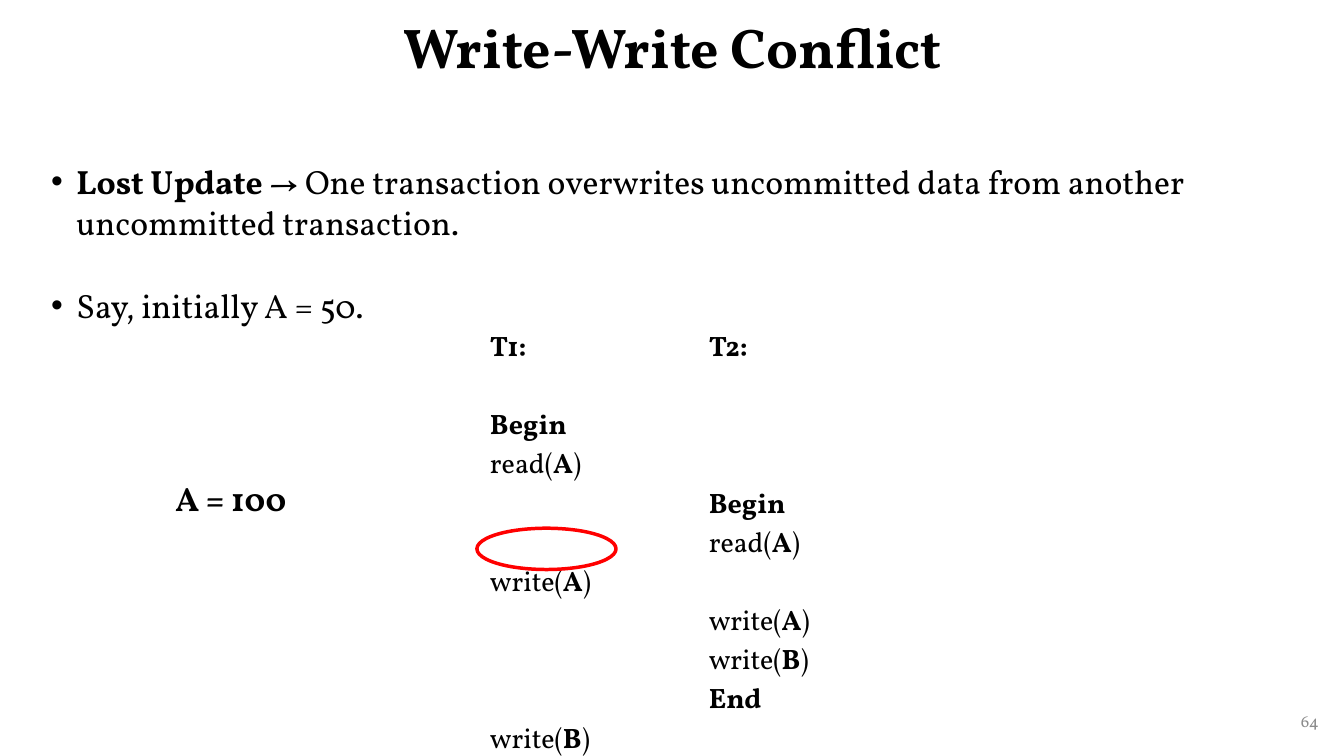
from dataclasses import dataclass

from lxml import etree
from pptx import Presentation
from pptx.dml.color import RGBColor
from pptx.enum.shapes import MSO_SHAPE
from pptx.enum.text import MSO_ANCHOR, PP_ALIGN
from pptx.oxml.ns import qn
from pptx.util import Inches, Pt

OVAL = MSO_SHAPE.OVAL
TOP, MIDDLE = MSO_ANCHOR.TOP, MSO_ANCHOR.MIDDLE
LEFT, CENTER, RIGHT = PP_ALIGN.LEFT, PP_ALIGN.CENTER, PP_ALIGN.RIGHT
PLAIN_TABLE_STYLE = "{2D5ABB26-0587-4C30-8999-92F81FD0307C}"


@dataclass(frozen=True)
class Theme:
    font: str = "Vollkorn"
    ink: RGBColor = RGBColor(0, 0, 0)
    muted: RGBColor = RGBColor(0x8C, 0x8C, 0x8C)
    highlight: RGBColor = RGBColor(0xFF, 0, 0)
    title_size: int = 40
    body_size: int = 24
    schedule_size: int = 20
    number_size: int = 12
    schedule_pitch: int = 28
    bullet_gap: int = 31


THEME = Theme()


@dataclass(frozen=True)
class Span:
    text: str
    bold: bool = False


@dataclass(frozen=True)
class Step:
    line: int
    spans: tuple[Span, ...]


@dataclass(frozen=True)
class Transaction:
    width: float
    steps: tuple[Step, ...]


def keyword(line: int, text: str) -> Step:
    return Step(line, (Span(text, True),))


def operation(line: int, action: str, item: str) -> Step:
    return Step(line, (Span(f"{action}("), Span(item, True), Span(")")))


BULLETS = (
    (
        Span("Lost Update ", True),
        Span("→ One transaction overwrites uncommitted data from another uncommitted transaction."),
    ),
    (Span("Say, initially A = 50."),),
)

TRANSACTIONS = (
    Transaction(2.17, (
        keyword(0, "T1:"),
        keyword(2, "Begin"),
        operation(3, "read", "A"),
        operation(6, "write", "A"),
        operation(10, "write", "B"),
    )),
    Transaction(2.05, (
        keyword(0, "T2:"),
        keyword(4, "Begin"),
        operation(5, "read", "A"),
        operation(7, "write", "A"),
        operation(8, "write", "B"),
        keyword(9, "End"),
    )),
)


def write(frame, spans: tuple[Span, ...], *, size: int, color: RGBColor = THEME.ink,
          align: PP_ALIGN = LEFT, spacing: float = 1.0, before: int = 0,
          bullet: bool = False) -> None:
    para = frame.paragraphs[0]
    if para.runs:
        para = frame.add_paragraph()
        para.space_before = Pt(before)
    para.alignment = align
    para.line_spacing = spacing
    if bullet:
        properties = para._p.get_or_add_pPr()
        properties.set("marL", str(Inches(0.25)))
        properties.set("indent", str(-Inches(0.25)))
        etree.SubElement(properties, qn("a:buFont")).set("typeface", "Arial")
        etree.SubElement(properties, qn("a:buChar")).set("char", "•")
    for span in spans:
        run = para.add_run()
        run.text = span.text
        run.font.name = THEME.font
        run.font.size = Pt(size)
        run.font.bold = span.bold
        run.font.color.rgb = color


def add_box(page, left: float, top: float, width: float, height: float,
            anchor: MSO_ANCHOR = TOP):
    box = page.shapes.add_textbox(Inches(left), Inches(top), Inches(width), Inches(height))
    box.text_frame.word_wrap = True
    box.text_frame.vertical_anchor = anchor
    return box.text_frame


def add_schedule(page, transactions: tuple[Transaction, ...]) -> None:
    width = sum(transaction.width for transaction in transactions)
    table = page.shapes.add_table(1, len(transactions), Inches(4.76), Inches(3.22),
                                  Inches(width), Inches(4.2)).table
    table.first_row = False
    table.horz_banding = False
    table._tbl.tblPr.find(qn("a:tableStyleId")).text = PLAIN_TABLE_STYLE
    for index, transaction in enumerate(transactions):
        table.columns[index].width = Inches(transaction.width)
        cell = table.cell(0, index)
        cell.fill.background()
        next_line = 0
        for step in transaction.steps:
            write(cell.text_frame, step.spans, size=THEME.schedule_size,
                  before=(step.line - next_line) * THEME.schedule_pitch)
            next_line = step.line + 1


def add_highlight(page) -> None:
    ring = page.shapes.add_shape(OVAL, Inches(4.73), Inches(5.24), Inches(1.38), Inches(0.41))
    ring.shadow.inherit = False
    ring.fill.background()
    ring.line.color.rgb = THEME.highlight
    ring.line.width = Pt(2.5)


def main() -> None:
    deck = Presentation()
    deck.slide_width, deck.slide_height = Inches(13.33), Inches(7.5)
    page = deck.slides.add_slide(deck.slide_layouts[6])

    title = add_box(page, 0.92, 0, 11.5, 0.99, MIDDLE)
    write(title, (Span("Write-Write Conflict", True),), size=THEME.title_size,
          align=CENTER, spacing=0.9)

    number = add_box(page, 10.18, 6.95, 3, 0.4, MIDDLE)
    write(number, (Span("64"),), size=THEME.number_size, color=THEME.muted, align=RIGHT)

    body = add_box(page, 0.41, 1.55, 12.92, 1.8)
    for spans in BULLETS:
        write(body, spans, size=THEME.body_size, before=THEME.bullet_gap, bullet=True)

    add_schedule(page, TRANSACTIONS)
    add_highlight(page)

    value = add_box(page, 1.64, 4.69, 2.63, 0.5)
    write(value, (Span("A = 100", True),), size=THEME.body_size)

    deck.save("out.pptx")


if __name__ == "__main__":
    main()
